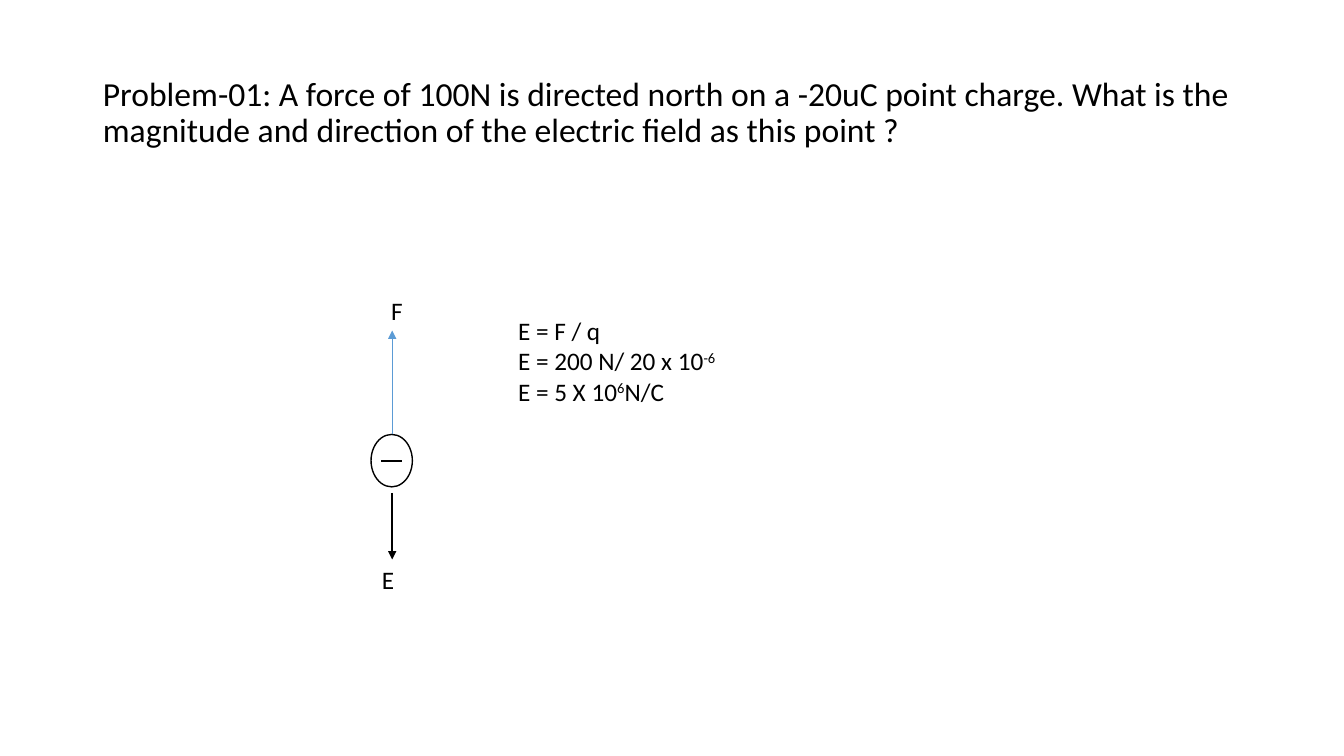
import dataclasses
import pptx
import pptx.dml.color
import pptx.enum.shapes
import pptx.enum.text
import pptx.oxml
import pptx.oxml.ns
import pptx.util
from pptx.util import Inches


@dataclasses.dataclass(frozen=True)
class Theme:
    font: str = "Calibri"
    ink: str = "000000"
    paper: str = "FFFFFF"
    force: str = "5B9BD5"
    title: int = 24
    body: int = 18


THEME = Theme()
AXIS = 3.89


def color(code):
    return pptx.dml.color.RGBColor.from_string(code)


def style(part, size):
    for run in part.runs:
        run.font.name = THEME.font
        run.font.size = pptx.util.Pt(size)
        run.font.color.rgb = color(THEME.ink)


def add_title(slide, text):
    title = slide.shapes.title
    title.left, title.top = Inches(0.92), Inches(0.4)
    title.width, title.height = Inches(11.5), Inches(1.45)
    frame = title.text_frame
    frame.text = text
    frame.word_wrap = True
    frame.auto_size = pptx.enum.text.MSO_AUTO_SIZE.NONE
    frame.vertical_anchor = pptx.enum.text.MSO_ANCHOR.MIDDLE
    part = frame.paragraphs[0]
    part.alignment = pptx.enum.text.PP_ALIGN.LEFT
    part.line_spacing = 0.9
    style(part, THEME.title)


def add_text(slide, left, top, width, height, lines):
    box = slide.shapes.add_textbox(
        Inches(left), Inches(top), Inches(width), Inches(height))
    frame = box.text_frame
    frame.word_wrap = True
    for row, (base, power, rest) in enumerate(lines):
        part = frame.add_paragraph() if row else frame.paragraphs[0]
        part.text = base
        if power:
            run = part.add_run()
            run.text = power
            run._r.get_or_add_rPr().set("baseline", "30000")
        if rest:
            part.add_run().text = rest
        style(part, THEME.body)


def add_line(slide, start, end, code, width, arrow=False):
    line = slide.shapes.add_connector(
        pptx.enum.shapes.MSO_CONNECTOR.STRAIGHT,
        *(Inches(value) for value in (*start, *end)))
    line.line.color.rgb = color(code)
    line.line.width = pptx.util.Pt(width)
    if arrow:
        tail = pptx.oxml.parse_xml(
            f'<a:tailEnd {pptx.oxml.ns.nsdecls("a")} type="triangle"/>')
        line.line._get_or_add_ln().append(tail)
    line._element.spPr.append(pptx.oxml.parse_xml(
        f'<a:effectLst {pptx.oxml.ns.nsdecls("a")}/>'))


def add_charge(slide):
    charge = slide.shapes.add_shape(
        pptx.enum.shapes.MSO_SHAPE.OVAL,
        Inches(3.68), Inches(4.31), Inches(0.41), Inches(0.52))
    charge.shadow.inherit = False
    charge.fill.solid()
    charge.fill.fore_color.rgb = color(THEME.paper)
    charge.line.color.rgb = color(THEME.ink)
    charge.line.width = pptx.util.Pt(1)
    add_line(slide, (3.78, 4.57), (3.99, 4.57), THEME.ink, 1.5)


def main():
    deck = pptx.Presentation()
    deck.slide_width, deck.slide_height = Inches(13.33), Inches(7.5)
    slide = deck.slides.add_slide(deck.slide_layouts[5])
    add_title(slide, "Problem-01: A force of 100N is directed north on a -20uC "
              "point charge. What is the magnitude and direction of the "
              "electric field as this point ?")
    add_charge(slide)
    add_line(slide, (AXIS, 4.31), (AXIS, 3.28), THEME.force, 0.5, arrow=True)
    add_text(slide, 3.78, 2.88, 0.81, 0.4, [("F", "", "")])
    add_line(slide, (AXIS, 4.89), (AXIS, 5.55), THEME.ink, 1.5, arrow=True)
    add_text(slide, 3.69, 5.55, 0.81, 0.4, [("E", "", "")])
    add_text(slide, 5.04, 3.08, 2.95, 1.01, [
        ("E = F / q", "", ""),
        ("E = 200 N/ 20 x 10", "-6", ""),
        ("E = 5 X 10", "6", "N/C"),
    ])
    deck.save("out.pptx")


if __name__ == "__main__":
    main()
